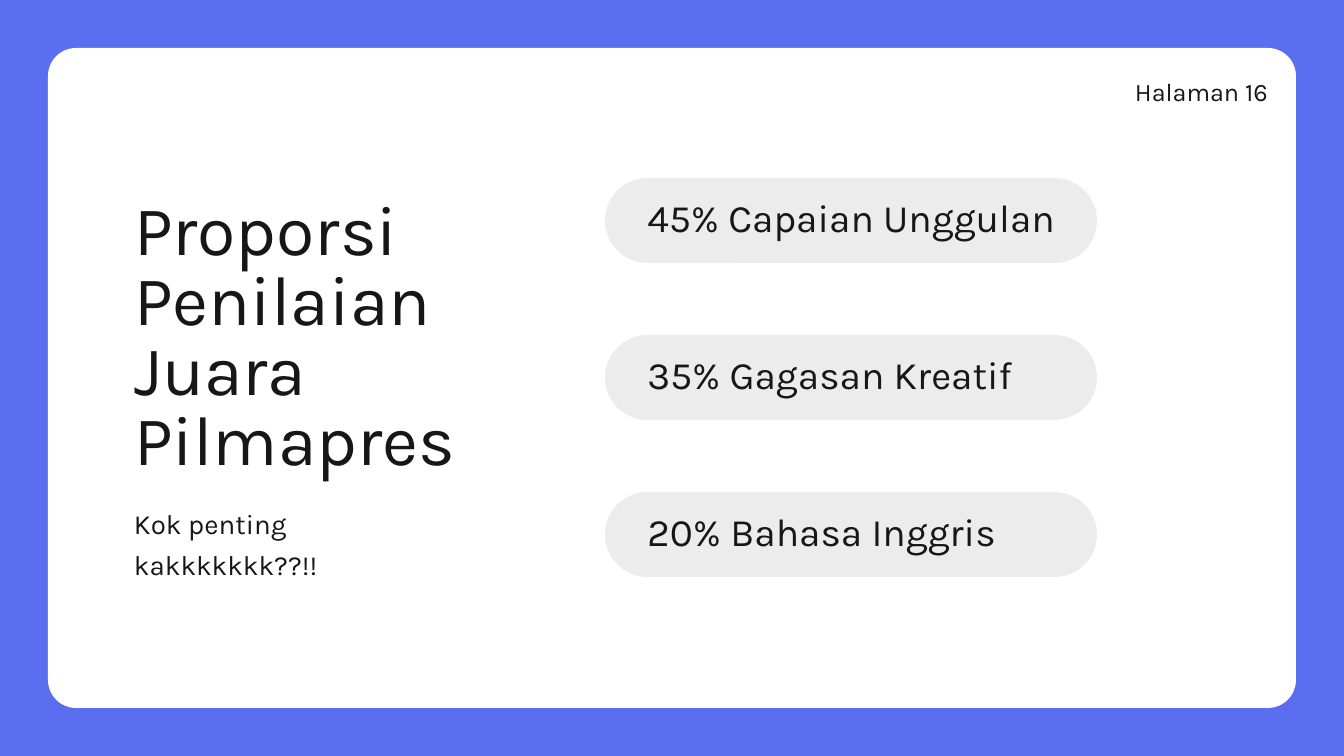
"""Build the slide on the assessment proportions for the Pilmapres winners."""
import pptx
import pptx.dml.color
import pptx.enum.shapes
import pptx.enum.text
import pptx.util

TITLE = ["Proporsi Penilaian", "Juara Pilmapres"]
SUBTITLE = ["Kok penting kakkkkkkk??!!"]
PAGE_LABEL = ["Halaman 16"]
PROPORTIONS = ["45% Capaian Unggulan", "35% Gagasan Kreatif", "20% Bahasa Inggris"]

BLUE = pptx.dml.color.RGBColor(0x5B, 0x6E, 0xEF)
WHITE = pptx.dml.color.RGBColor(0xFF, 0xFF, 0xFF)
GREY = pptx.dml.color.RGBColor(0xED, 0xEC, 0xED)
INK = pptx.dml.color.RGBColor(0x17, 0x17, 0x17)
FONT = "Karla"

WIDTH, HEIGHT = 1344, 756
MARGIN = 48
CARD_RADIUS = 28
TEXT_LEFT, TEXT_WIDTH = 134, 335
PILL_LEFT, PILL_TOP, PILL_WIDTH, PILL_HEIGHT = 605, 178, 492, 85
PILL_STEP = 157
PILL_INSET_LEFT, PILL_INSET_TOP = 30, 11
LEFT = pptx.enum.text.PP_ALIGN.LEFT
RIGHT = pptx.enum.text.PP_ALIGN.RIGHT


def px(value):
    return pptx.util.Emu(round(value * 914400 / 67.2))


def write(shape, lines, size, spacing, alignment=LEFT, inset_left=0, inset_top=0):
    frame = shape.text_frame
    frame.word_wrap = True
    frame.auto_size = pptx.enum.text.MSO_AUTO_SIZE.NONE
    frame.vertical_anchor = pptx.enum.text.MSO_ANCHOR.TOP
    frame.margin_left = px(inset_left)
    frame.margin_top = px(inset_top)
    frame.margin_right = frame.margin_bottom = 0
    for index, line in enumerate(lines):
        paragraph = frame.add_paragraph() if index else frame.paragraphs[0]
        paragraph.alignment = alignment
        paragraph.line_spacing = pptx.util.Pt(spacing)
        paragraph.space_before = paragraph.space_after = pptx.util.Pt(0)
        run = paragraph.add_run()
        run.text = line
        run.font.name = FONT
        run.font.size = pptx.util.Pt(size)
        run.font.color.rgb = INK


def add_rounded(slide, left, top, width, height, radius, colour):
    shape = slide.shapes.add_shape(
        pptx.enum.shapes.MSO_SHAPE.ROUNDED_RECTANGLE,
        px(left), px(top), px(width), px(height))
    shape.adjustments[0] = radius / min(width, height)
    shape.shadow.inherit = False
    shape.fill.solid()
    shape.fill.fore_color.rgb = colour
    shape.line.fill.background()
    return shape


def add_text(slide, left, top, width, height):
    return slide.shapes.add_textbox(px(left), px(top), px(width), px(height))


def main():
    presentation = pptx.Presentation()
    presentation.slide_width, presentation.slide_height = px(WIDTH), px(HEIGHT)
    slide = presentation.slides.add_slide(presentation.slide_layouts[5])
    slide.background.fill.solid()
    slide.background.fill.fore_color.rgb = BLUE

    card = add_rounded(slide, MARGIN, MARGIN, WIDTH - 2 * MARGIN,
                       HEIGHT - 2 * MARGIN, CARD_RADIUS, WHITE)
    title = slide.shapes.title
    title.element.addprevious(card.element)
    title.left, title.top = px(TEXT_LEFT), px(200)
    title.width, title.height = px(TEXT_WIDTH), px(282)
    write(title, TITLE, 74.8, 74.8)

    for index, proportion in enumerate(PROPORTIONS):
        pill = add_rounded(slide, PILL_LEFT, PILL_TOP + index * PILL_STEP,
                           PILL_WIDTH, PILL_HEIGHT, PILL_HEIGHT / 2, GREY)
        write(pill, [proportion], 41.6, 41.6,
              inset_left=PILL_INSET_LEFT, inset_top=PILL_INSET_TOP)

    write(add_text(slide, TEXT_LEFT, 498, TEXT_WIDTH, 40), SUBTITLE, 29.7, 44.6)
    write(add_text(slide, 911, 71, 357, 34), PAGE_LABEL, 27, 37.8, RIGHT)
    presentation.save("out.pptx")


if __name__ == "__main__":
    main()
